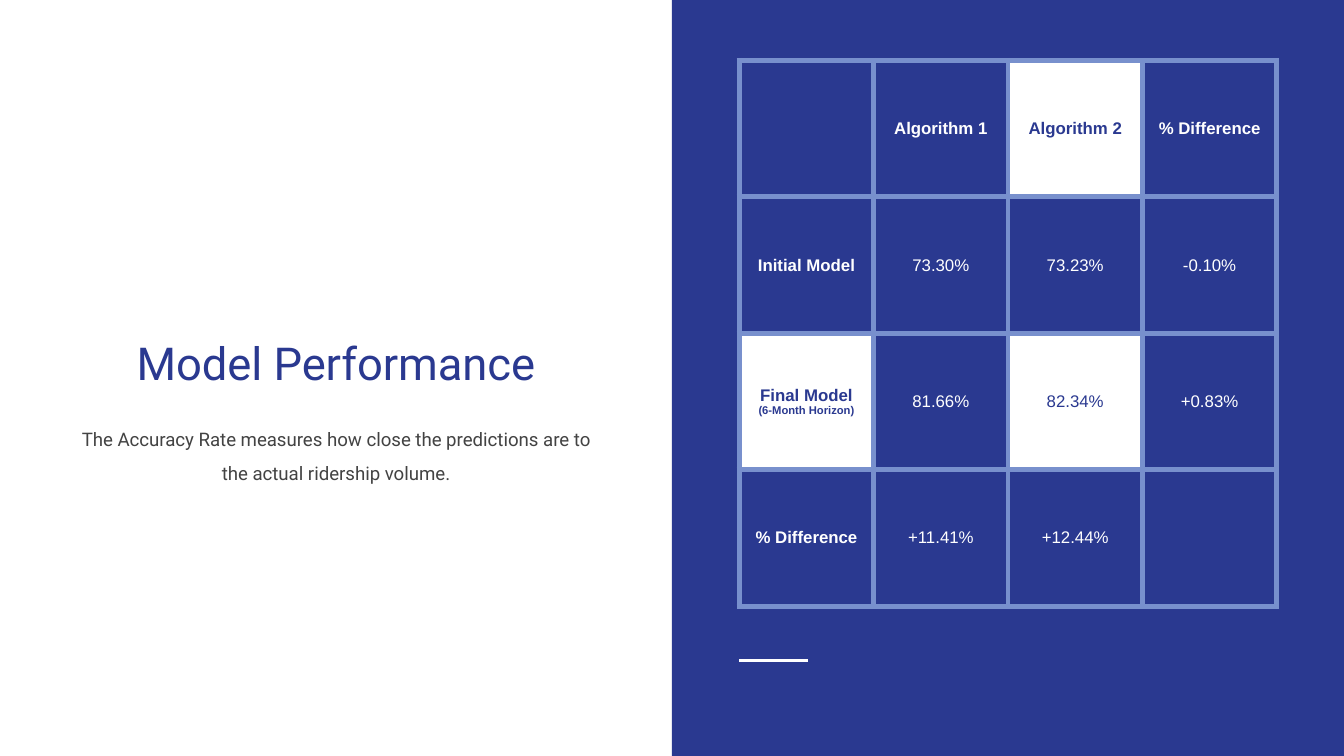
from lxml.etree import SubElement
from pptx import Presentation
from pptx.dml.color import RGBColor
from pptx.enum.shapes import MSO_CONNECTOR as Connector, MSO_SHAPE as Shape
from pptx.enum.text import MSO_ANCHOR as Anchor, PP_ALIGN as Align
from pptx.oxml.ns import qn
from pptx.util import Inches, Pt

NAVY = RGBColor(0x2A, 0x39, 0x90)
PERIWINKLE = RGBColor(0x78, 0x90, 0xCD)
WHITE = RGBColor(0xFF, 0xFF, 0xFF)
GRAY = RGBColor(0x43, 0x43, 0x43)

COLUMNS, ROWS = 20, 45

ACCURACY = [
    ["", "Algorithm 1", "Algorithm 2", "% Difference"],
    ["Initial Model", "73.30%", "73.23%", "-0.10%"],
    ["Final Model\v(6-Month Horizon)", "81.66%", "82.34%", "+0.83%"],
    ["% Difference", "+11.41%", "+12.44%", ""],
]
HIGHLIGHTS = {(0, 2), (2, 0), (2, 2)}


class SlideBuilder:
    heading_font = "Roboto"
    table_font = "Arial"
    inset = Inches(0.1)

    def __init__(self, deck):
        self.slide = deck.slides.add_slide(deck.slide_layouts[6])
        self.shapes = self.slide.shapes
        self.column = deck.slide_width / COLUMNS
        self.row = deck.slide_height / ROWS

    def place(self, left, top, width, height):
        return (round(left * self.column), round(top * self.row),
                round(width * self.column), round(height * self.row))

    def style(self, run, font, size, color, bold=False):
        run.font.name = font
        run.font.size = Pt(size)
        run.font.bold = bold
        run.font.color.rgb = color

    def panel(self, area, color):
        panel = self.shapes.add_shape(Shape.RECTANGLE, *self.place(*area))
        panel.shadow.inherit = False
        panel.fill.solid()
        panel.fill.fore_color.rgb = color
        panel.line.fill.background()

    def rule(self, left, top, width, color, weight):
        x, y, length, _ = self.place(left, top, width, 0)
        rule = self.shapes.add_connector(Connector.STRAIGHT, x, y, x + length, y)
        rule.line.color.rgb = color
        rule.line.width = Pt(weight)
        SubElement(rule._element.spPr, qn("a:effectLst"))

    def text(self, area, words, size, color, anchor, spacing=1.0):
        frame = self.shapes.add_textbox(*self.place(*area)).text_frame
        frame.word_wrap = True
        frame.vertical_anchor = anchor
        frame.margin_left = frame.margin_right = self.inset
        frame.margin_top = frame.margin_bottom = self.inset
        frame.text = words
        paragraph = frame.paragraphs[0]
        paragraph.alignment = Align.CENTER
        paragraph.line_spacing = spacing
        self.style(paragraph.runs[0], self.heading_font, size, color)

    def border(self, cell, color, weight):
        properties = cell._tc.get_or_add_tcPr()
        for side in ("a:lnL", "a:lnR", "a:lnT", "a:lnB"):
            edge = SubElement(properties, qn(side), w=str(Pt(weight)))
            fill = SubElement(edge, qn("a:solidFill"))
            SubElement(fill, qn("a:srgbClr"), val=str(color))

    def cell(self, cell, words, highlighted, bold):
        self.border(cell, PERIWINKLE, 3)
        if highlighted:
            cell.fill.solid()
            cell.fill.fore_color.rgb = WHITE
        else:
            cell.fill.background()
        cell.vertical_anchor = Anchor.MIDDLE
        cell.margin_left = cell.margin_right = self.inset
        cell.margin_top = cell.margin_bottom = self.inset
        paragraph = cell.text_frame.paragraphs[0]
        paragraph.text = words
        paragraph.alignment = Align.CENTER
        color = NAVY if highlighted else WHITE
        for run, size in zip(paragraph.runs, (9, 6)):
            self.style(run, self.table_font, size, color, bold)
        for line_break in paragraph._p.findall(qn("a:br")):
            SubElement(line_break, qn("a:rPr"), sz="900")

    def table(self, area, rows, highlights):
        frame = self.shapes.add_table(len(rows), len(rows[0]), *self.place(*area))
        table = frame.table
        table.first_row = table.horz_banding = False
        for r, row in enumerate(rows):
            for c, words in enumerate(row):
                self.cell(table.cell(r, c), words, (r, c) in highlights,
                          bold=r == 0 or c == 0)


def main():
    deck = Presentation()
    deck.slide_width = Inches(10)
    deck.slide_height = deck.slide_width * 9 // 16

    builder = SlideBuilder(deck)
    builder.panel((10, 0, 10, ROWS), NAVY)
    builder.rule(11, 39.3, 1.02, WHITE, 1.5)
    builder.text((1, 19.6, 8, 4.4), "Model Performance", 24.3, NAVY, Anchor.BOTTOM)
    builder.text((1, 24, 8, 17.4),
                 "The Accuracy Rate measures how close the predictions are to "
                 "the actual ridership volume.",
                 10, GRAY, Anchor.TOP, spacing=1.5)
    builder.table((11, 3.6, 8, 32.5), ACCURACY, HIGHLIGHTS)
    deck.save("out.pptx")


if __name__ == "__main__":
    main()
